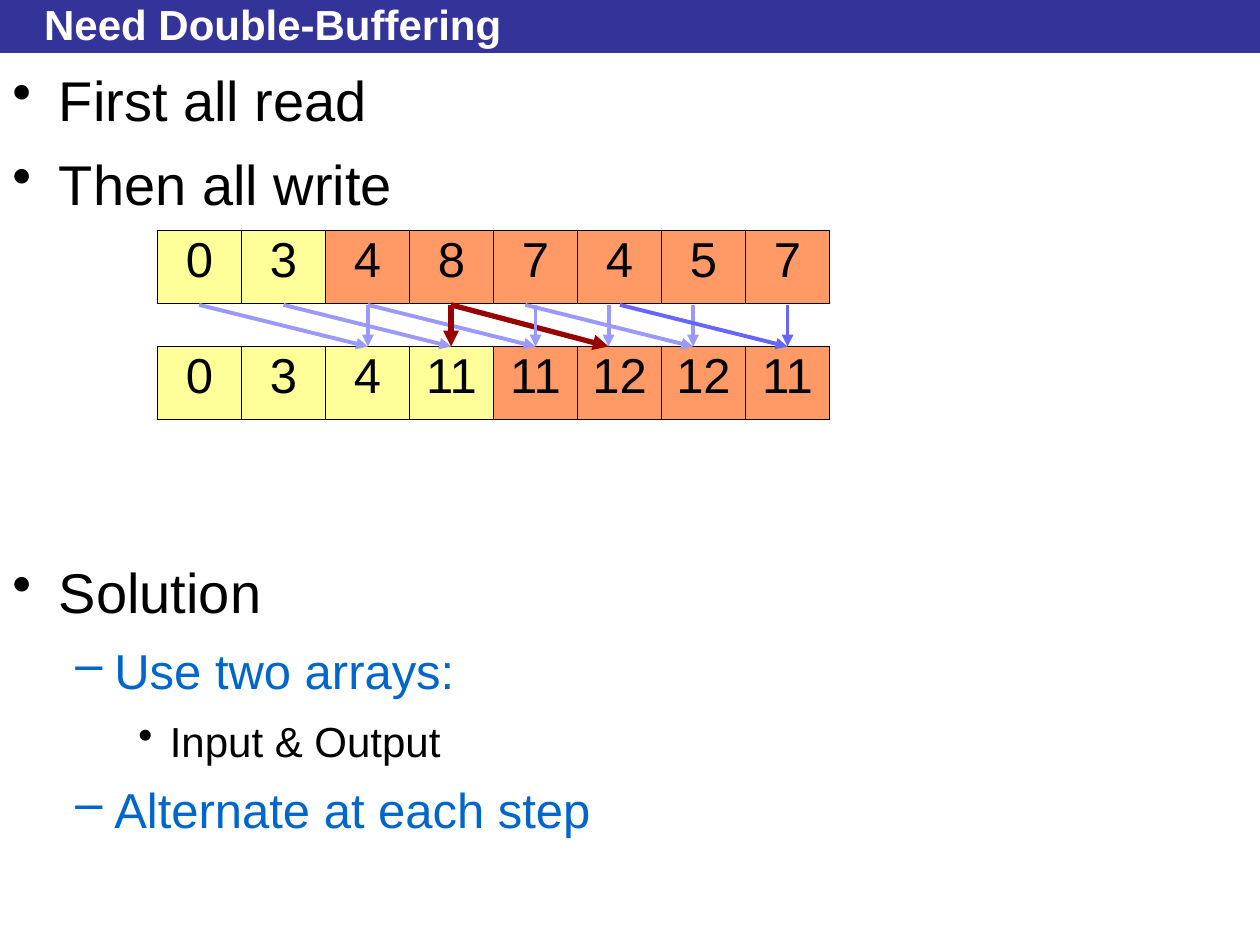
from typing import NamedTuple

from lxml import etree
from pptx import Presentation
from pptx.dml.color import RGBColor
from pptx.enum.shapes import MSO_CONNECTOR, MSO_SHAPE
from pptx.enum.text import MSO_ANCHOR, MSO_AUTO_SIZE, PP_ALIGN
from pptx.oxml.ns import qn
from pptx.util import Inches, Pt

RECT = MSO_SHAPE.RECTANGLE
STRAIGHT = MSO_CONNECTOR.STRAIGHT
MIDDLE = MSO_ANCHOR.MIDDLE
NO_AUTOFIT = MSO_AUTO_SIZE.NONE
LEFT, CENTER = PP_ALIGN.LEFT, PP_ALIGN.CENTER

FONT = "Arial"
NAVY = RGBColor(0x33, 0x33, 0x99)
WHITE = RGBColor(0xFF, 0xFF, 0xFF)
BLACK = RGBColor(0, 0, 0)
BLUE = RGBColor(0x00, 0x66, 0xCC)
YELLOW = RGBColor(0xFF, 0xFF, 0x99)
ORANGE = RGBColor(0xFF, 0x99, 0x66)
LAVENDER = RGBColor(0x99, 0x99, 0xFF)
VIOLET = RGBColor(0x66, 0x66, 0xFF)
DARK_RED = RGBColor(0x99, 0, 0)

# Array geometry in inches
ARRAY_LEFT = 1.25
CELL_W, CELL_H = 2 / 3, 0.58
INPUT_TOP, OUTPUT_TOP = 1.83, 2.75
ARROW_TOP = 2.42


class Level(NamedTuple):
    bullet: str
    size: int
    color: RGBColor
    margin: float
    hanging: float


class Bullet(NamedTuple):
    text: str
    level: int
    before: float


class Array(NamedTuple):
    top: float
    values: list[int]
    finished: int  # number of leading yellow cells


class Arrow(NamedTuple):
    x1: float
    x2: float
    color: RGBColor = LAVENDER
    width: float = 2.25


LEVELS = [
    Level("•", 32, BLACK, 0.37, 0.37),
    Level("–", 28, BLUE, 0.81, 0.31),
    Level("•", 24, BLACK, 1.25, 0.25),
]
BULLETS = [
    Bullet("First all read", 0, 0),
    Bullet("Then all write", 0, 9.5),
    Bullet("Solution", 0, 195),  # leaves room for the arrays
    Bullet("Use two arrays:", 1, 9),
    Bullet("Input & Output", 2, 9),
    Bullet("Alternate at each step", 1, 8),
]
ARRAYS = [
    Array(INPUT_TOP, [0, 3, 4, 8, 7, 4, 5, 7], 2),
    Array(OUTPUT_TOP, [0, 3, 4, 11, 11, 12, 12, 11], 4),
]
ARROWS = [
    Arrow(3.58, 4.83, DARK_RED, 3),
    Arrow(4.83, 4.83),
    Arrow(4.17, 5.5),
    Arrow(5.5, 5.5),
    Arrow(4.92, 6.25, VIOLET),
    Arrow(6.25, 6.25, VIOLET),
    Arrow(2.92, 4.25),
    Arrow(4.25, 4.25),
    Arrow(2.25, 3.58),
    Arrow(3.58, 3.58, DARK_RED, 3),
    Arrow(1.58, 2.92),
    Arrow(2.92, 2.92),
]


def add_run(p, text: str, size: int, color: RGBColor, bold: bool = False) -> None:
    r = p.add_run()
    r.text = text
    r.font.name = FONT
    r.font.size = Pt(size)
    r.font.bold = bold
    r.font.color.rgb = color


def add_title(s, text: str) -> None:
    bar = s.shapes.add_shape(RECT, 0, 0, Inches(10), Inches(0.42))
    bar.shadow.inherit = False
    bar.fill.solid()
    bar.fill.fore_color.rgb = NAVY
    bar.line.fill.background()
    s.shapes._spTree.insert(2, bar._element)  # behind the title

    title = s.shapes.title
    title.left, title.top = Inches(0.25), Inches(0.05)
    title.width, title.height = Inches(9.25), Inches(0.28)
    tf = title.text_frame
    tf.auto_size = NO_AUTOFIT
    tf.vertical_anchor = MIDDLE
    p = tf.paragraphs[0]
    p.alignment = LEFT
    add_run(p, text, 24, WHITE, bold=True)


def add_bullets(s, bullets: list[Bullet]) -> None:
    sp = s.shapes.add_textbox(0, Inches(0.47), Inches(10), Inches(7.03))
    tf = sp.text_frame
    tf.word_wrap = True
    for i, item in enumerate(bullets):
        level = LEVELS[item.level]
        p = tf.add_paragraph() if i else tf.paragraphs[0]
        p.level = item.level
        p.space_before = Pt(item.before)
        pPr = p._p.get_or_add_pPr()
        pPr.set("marL", str(Inches(level.margin)))
        pPr.set("indent", str(-Inches(level.hanging)))
        etree.SubElement(pPr, qn("a:buChar"), char=level.bullet)
        add_run(p, item.text, level.size, level.color)


def add_borders(cell) -> None:
    tcPr = cell._tc.get_or_add_tcPr()
    for side in ("L", "R", "T", "B"):
        ln = etree.SubElement(tcPr, qn(f"a:ln{side}"), w=str(Pt(0.5)))
        fill = etree.SubElement(ln, qn("a:solidFill"))
        etree.SubElement(fill, qn("a:srgbClr"), val=str(BLACK))


def add_cell(s, x: float, y: float, value: int, color: RGBColor) -> None:
    frame = s.shapes.add_table(1, 1, Inches(x), Inches(y), Inches(CELL_W), Inches(CELL_H))
    frame.table.first_row = False
    frame.table.horz_banding = False
    cell = frame.table.cell(0, 0)
    add_borders(cell)
    cell.fill.solid()
    cell.fill.fore_color.rgb = color
    p = cell.text_frame.paragraphs[0]
    p.alignment = CENTER
    p.line_spacing = 0.93
    add_run(p, str(value), 28, BLACK)


def add_array(s, array: Array) -> None:
    for i, value in enumerate(array.values):
        color = YELLOW if i < array.finished else ORANGE
        add_cell(s, ARRAY_LEFT + i * CELL_W, array.top, value, color)


def add_arrow(s, arrow: Arrow) -> None:
    line = s.shapes.add_connector(
        STRAIGHT, Inches(arrow.x1), Inches(ARROW_TOP), Inches(arrow.x2), Inches(OUTPUT_TOP)
    )
    line.line.color.rgb = arrow.color
    line.line.width = Pt(arrow.width)
    etree.SubElement(line.line._get_or_add_ln(), qn("a:tailEnd"), type="triangle")
    etree.SubElement(line._element.spPr, qn("a:effectLst"))


def main() -> None:
    prs = Presentation()
    prs.slide_width, prs.slide_height = Inches(10), Inches(7.5)
    s = prs.slides.add_slide(prs.slide_layouts[5])
    add_title(s, "Need Double-Buffering")
    add_bullets(s, BULLETS)
    # Input and output arrays, with the reads between them
    for array in ARRAYS:
        add_array(s, array)
    for arrow in ARROWS:
        add_arrow(s, arrow)
    prs.save("out.pptx")


if __name__ == "__main__":
    main()
